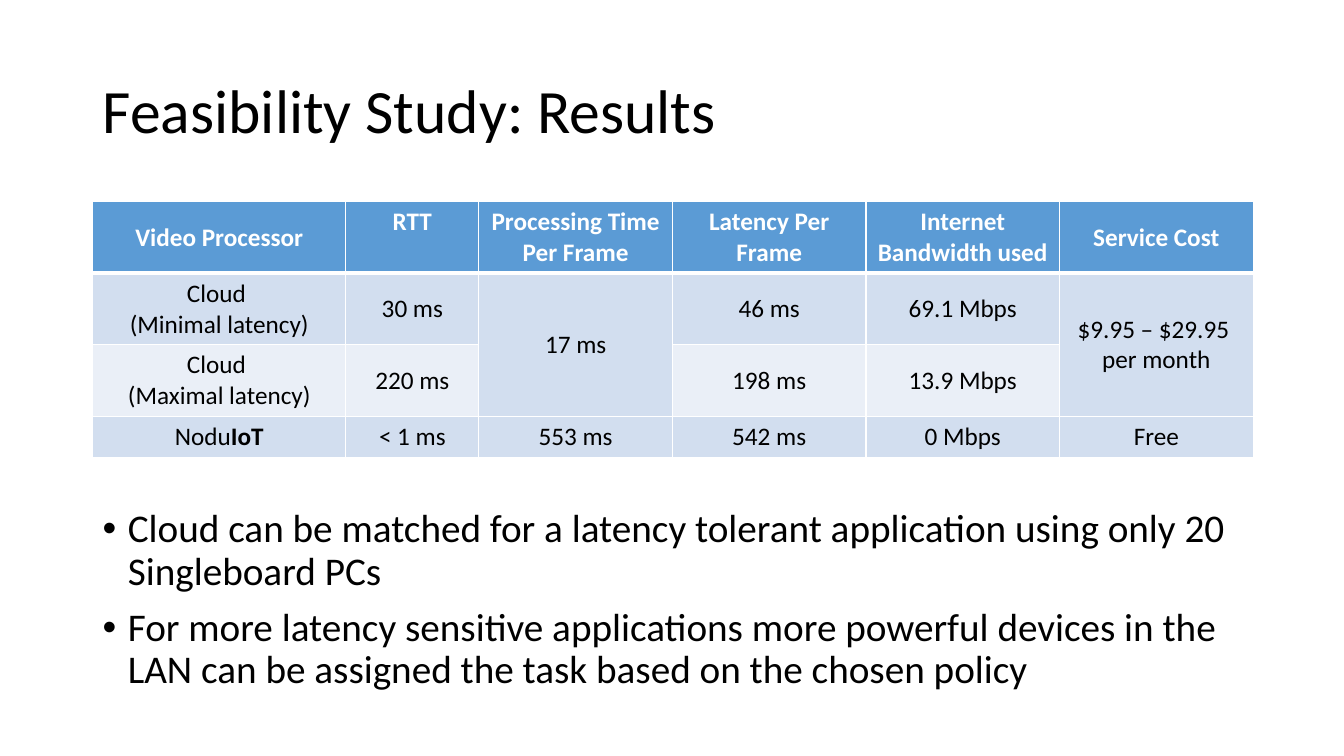
from lxml import etree
from pptx import Presentation
from pptx.dml.color import RGBColor
from pptx.enum.text import MSO_ANCHOR, PP_ALIGN
from pptx.oxml.ns import qn
from pptx.util import Inches, Pt

LEFT, CENTER = PP_ALIGN.LEFT, PP_ALIGN.CENTER
TOP, MIDDLE = MSO_ANCHOR.TOP, MSO_ANCHOR.MIDDLE

# Content: bold parts are marked by a (text, True) pair
TITLE = "Feasibility Study: Results"
HEAD = ["Video Processor", "RTT", "Processing Time Per Frame",
        "Latency Per Frame", "Internet Bandwidth used", "Service Cost"]
ROWS = [
    ["Cloud \n(Minimal latency)", "30 ms", "17 ms", "46 ms", "69.1 Mbps",
     "$9.95 – $29.95 \nper month"],
    ["Cloud \n(Maximal latency)", "220 ms", None, "198 ms", "13.9 Mbps", None],
    [[("Nodu", False), ("IoT", True)], "< 1 ms", "553 ms", "542 ms",
     "0 Mbps", "Free"],
]
POINTS = [
    "Cloud can be matched for a latency tolerant application using only 20 "
    "Singleboard PCs",
    "For more latency sensitive applications more powerful devices in the "
    "LAN can be assigned the task based on the chosen policy",
]

# Layout and colours
WIDE, HIGH = 13.33, 7.5
EDGE, SPAN = 0.92, 11.5
COLS = [2.51, 1.32] + [1.92] * 4
TALL = [0.71, 0.71, 0.71, 0.41]
BLUE, BANDS = "5B9BD5", ["D2DEEF", "EAEFF7"]
WHITE, BLACK = "FFFFFF", "000000"
FONT = "Calibri"


def color(code):
    return RGBColor.from_string(code)


def write(para, text, size=18, ink=BLACK, bold=False, align=LEFT, lead=None):
    para.alignment = align
    if lead:
        para.line_spacing = lead
    parts = [(text, bold)] if isinstance(text, str) else text
    for words, heavy in parts:
        for i, line in enumerate(words.split("\n")):
            if i:
                para.add_line_break()
            run = para.add_run()
            run.text = line
            font = run.font
            font.name, font.size, font.bold = FONT, Pt(size), heavy
            font.color.rgb = color(ink)


def border(cell, **widths):
    props = cell._tc.get_or_add_tcPr()
    for i, side in enumerate("LRTB"):
        line = etree.Element(qn("a:ln" + side), w=str(Pt(widths.get(side, 1))))
        fill = etree.SubElement(line, qn("a:solidFill"))
        etree.SubElement(fill, qn("a:srgbClr"), val=WHITE)
        props.insert(i, line)


def bullet(para):
    props = para._p.get_or_add_pPr()
    props.set("marL", str(Inches(0.25)))
    props.set("indent", str(-Inches(0.25)))
    etree.SubElement(props, qn("a:buFont"), typeface="Arial")
    etree.SubElement(props, qn("a:buChar"), char="•")


deck = Presentation()
deck.slide_width, deck.slide_height = Inches(WIDE), Inches(HIGH)
slide = deck.slides.add_slide(deck.slide_layouts[5])

# Title
title = slide.shapes.title
title.left, title.top = Inches(EDGE), Inches(0.4)
title.width, title.height = Inches(SPAN), Inches(1.45)
title.text_frame.vertical_anchor = MIDDLE
write(title.text_frame.paragraphs[0], TITLE, size=44, lead=0.9)

# Results table
grid = [HEAD] + ROWS
frame = slide.shapes.add_table(len(grid), len(COLS), Inches(EDGE), Inches(2),
                               Inches(SPAN), Inches(sum(TALL)))
table = frame.table
for col, width in zip(table.columns, COLS):
    col.width = Inches(width)
for row, height in zip(table.rows, TALL):
    row.height = Inches(height)
for r, row in enumerate(grid):
    for c, text in enumerate(row):
        cell = table.cell(r, c)
        cell.fill.solid()
        cell.fill.fore_color.rgb = color(BANDS[(r - 1) % 2] if r else BLUE)
        cell.vertical_anchor = TOP if text == "RTT" else MIDDLE
        border(cell, B=1 if r else 3, T=3 if r == 1 else 1)
        if text is None:
            table.cell(r - 1, c).merge(cell)
        else:
            write(cell.text_frame.paragraphs[0], text, bold=r == 0,
                  ink=BLACK if r else WHITE, align=CENTER)

# Findings
box = slide.shapes.add_textbox(Inches(EDGE), Inches(5), Inches(SPAN),
                               Inches(2.38))
body = box.text_frame
body.word_wrap = True
for i, point in enumerate(POINTS):
    para = body.add_paragraph() if i else body.paragraphs[0]
    para.space_before = Pt(10)
    write(para, point, size=28, lead=0.9)
    bullet(para)

deck.save("out.pptx")
